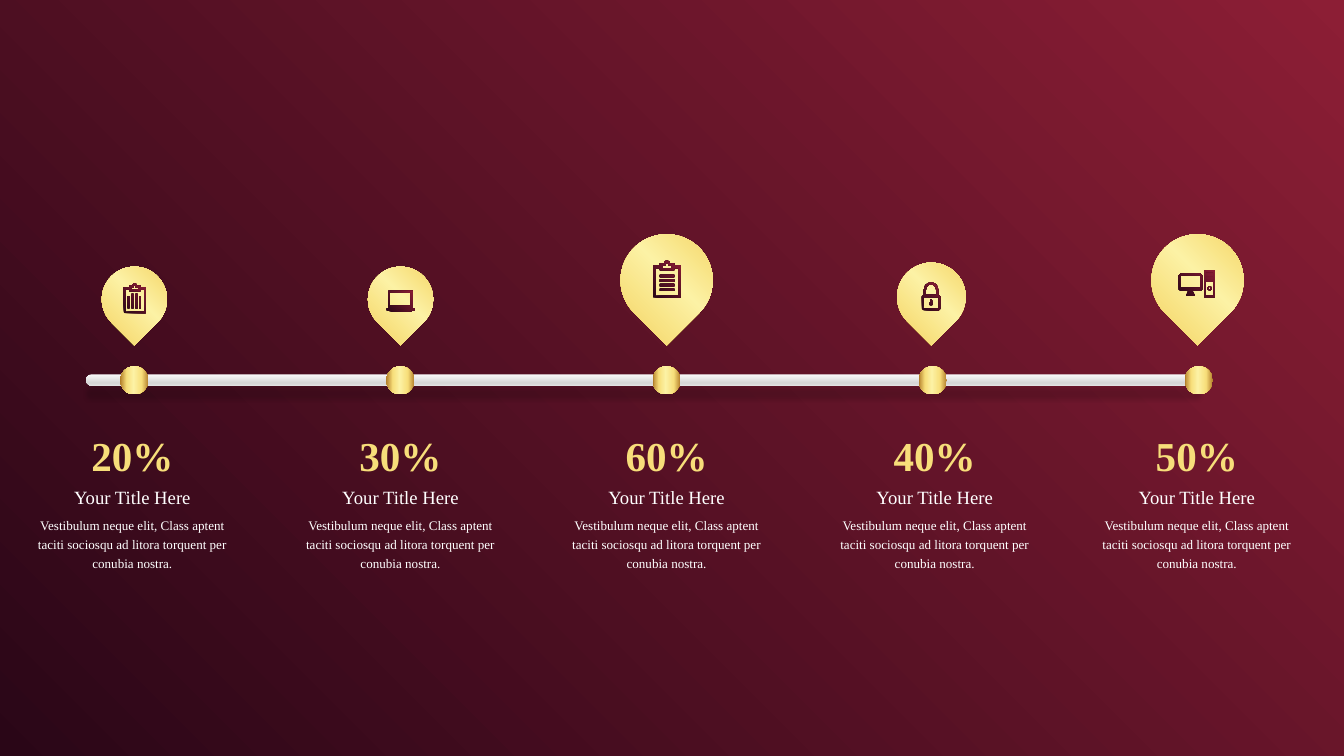
import math
from lxml import etree
from pptx import Presentation
from pptx.dml.color import RGBColor
from pptx.enum.shapes import MSO_SHAPE
from pptx.enum.text import MSO_AUTO_SIZE, PP_ALIGN
from pptx.oxml import parse_xml
from pptx.oxml.ns import nsdecls, qn
from pptx.util import Inches, Pt

ROUND, OVAL, DROP = (MSO_SHAPE.ROUNDED_RECTANGLE, MSO_SHAPE.OVAL,
                     MSO_SHAPE.TEAR)
CENTER, GROW = PP_ALIGN.CENTER, MSO_AUTO_SIZE.SHAPE_TO_FIT_TEXT
FONT = "Times New Roman"
WHITE = "FFFFFF"

# Gradients: stops, and an angle (None means circular from the top right)
GOLD = ([(0, "B37E2A"), (24, "F7DE7A"), (53, "FCF2A5"), (77, "F7DE7A"),
         (100, "B37E2A")], 180)
SILVER = ([(0, "FAFAFA"), (74, "D7D7D7"), (83, "D7D7D7"), (100, "E4E4E4")], 90)
WINE = ([(0, "8C1E35"), (100, "2A0617")], None)


def color(value):
    return RGBColor.from_string(value)


def paint(fill, element, gradient):
    """Give a fill inside the element a gradient with any number of stops."""
    stops, angle = gradient
    fill.gradient()
    old = next(element.iter(qn("a:gradFill")))
    marks = "".join(f'<a:gs pos="{pos * 1000}"><a:srgbClr val="{value}"/></a:gs>'
                    for pos, value in stops)
    if angle is None:
        shade = ('<a:path path="circle">'
                 '<a:fillToRect l="100000" b="100000"/></a:path>')
    else:
        shade = f'<a:lin ang="{angle * 60000}" scaled="0"/>'
    new = parse_xml(f'<a:gradFill {nsdecls("a")} rotWithShape="1">'
                    f'<a:gsLst>{marks}</a:gsLst>{shade}</a:gradFill>')
    old.getparent().replace(old, new)


# Outlines for icons, in hundredths of an inch
def rect(left, top, right, bottom):
    return [(left, top), (right, top), (right, bottom), (left, bottom)]


def arc(cx, cy, radius, start=0, end=360, steps=16):
    angles = [math.radians(start + (end - start) * i / steps)
              for i in range(steps + 1)]
    return [(cx + radius * math.cos(a), cy + radius * math.sin(a))
            for a in angles]


CLIPBOARD = [
    [(0, 55), (0, 7), (10, 7), (10, 4), (16, 4), *arc(20.5, 4.5, 4.5, 180, 360),
     (31, 4), (31, 7), (41, 7), (41, 55)],
    [(4, 11), (10, 11), (10, 14), (31, 14), (31, 11), (38, 11), (38, 52), (4, 52)],
    [(14, 11), (14, 7), (18.5, 7), *arc(20.5, 5.5, 2, 180, 360), (22.5, 7),
     (27, 7), (27, 11)],
]
REPORT = CLIPBOARD + [rect(x, top, x + 3, 46) for x, top in
                      [(7.5, 24), (15, 19), (22.5, 19), (29, 24)]]
LIST = CLIPBOARD + [rect(10, 21 + 6.8 * i, 31, 24.5 + 6.8 * i) for i in range(4)]
LAPTOP = [
    rect(3, 0, 39, 25), rect(5, 3, 36, 22), rect(17, 27, 26, 28),
    [(0, 26), (42, 26), (42, 29), (32, 31), (10, 31), (0, 29)],
]
LOCK = [
    [(3, 18), *arc(13.5, 10, 10.5, 180, 360), (24, 18), (27, 20), (27, 39),
     (25, 41), (3, 41), (0, 39), (0, 20)],
    [(6, 18), *arc(13.5, 10, 7.5, 180, 360), (21, 18)],
    rect(2, 21, 25, 38),
    [(12, 29), (12, 26), (13.5, 24), (15, 26), (15, 29), (16, 31), (15, 33),
     (12, 33), (11, 31)],
]
COMPUTER = [
    [(3, 5), (32, 5), (35, 8), (35, 29), (32, 31), (21, 31), (22, 35), (24, 36),
     (24, 38), (11, 38), (11, 36), (13, 35), (14, 31), (3, 31), (0, 29), (0, 8)],
    rect(3, 8, 32, 26), rect(38, 0, 54, 40), rect(40, 3, 52, 38),
    rect(41, 5, 51, 9), rect(41, 10, 51, 11), rect(41, 12, 51, 14),
    rect(41, 15, 51, 17), arc(46, 27, 3), arc(46, 27, 2),
]


class Deck:
    def __init__(self, width, height):
        self.prs = Presentation()
        self.prs.slide_width, self.prs.slide_height = Inches(width), Inches(height)

    def slide(self, gradient):
        self.s = self.prs.slides.add_slide(self.prs.slide_layouts[6])
        paint(self.s.background.fill, self.s.element, gradient)

    def finish(self, sp, gradient):
        sp.shadow.inherit = False
        sp.line.fill.background()
        paint(sp.fill, sp.element, gradient)
        return sp

    def shape(self, kind, left, top, width, height, gradient, rotation=0):
        sp = self.s.shapes.add_shape(kind, *map(Inches, (left, top, width, height)))
        sp.rotation = rotation
        return self.finish(sp, gradient)

    def drop_shadow(self, sp, alpha, blur, distance):
        effects = sp.element.spPr.find(qn("a:effectLst"))
        shadow = etree.SubElement(effects, qn("a:outerShdw"), blurRad=str(Pt(blur)),
                                  dist=str(Pt(distance)), dir="5400000",
                                  algn="t", rotWithShape="0")
        black = etree.SubElement(shadow, qn("a:srgbClr"), val="000000")
        etree.SubElement(black, qn("a:alpha"), val=str(alpha * 1000))

    def icon(self, left, top, outlines, scale=1):
        outlines = [[(Inches(x * scale / 100), Inches(y * scale / 100))
                     for x, y in outline] for outline in outlines]
        builder = self.s.shapes.build_freeform(*outlines[0][0])
        for i, outline in enumerate(outlines):
            if i:
                builder.move_to(*outline[0])
            builder.add_line_segments(outline[1:], close=True)
        self.finish(builder.convert_to_shape(Inches(left), Inches(top)), WINE)

    def text(self, center, top, width, height, words, size, spacing=1.2,
             wrap=True, bold=False, gradient=None):
        sp = self.s.shapes.add_textbox(*map(
            Inches, (center - width / 2, top, width, height)))
        tf = sp.text_frame
        tf.word_wrap, tf.auto_size = wrap, GROW
        p = tf.paragraphs[0]
        p.alignment, p.line_spacing = CENTER, spacing
        r = p.add_run()
        r.text = words
        for name, value in {"name": FONT, "size": Pt(size), "bold": bold}.items():
            setattr(r.font, name, value)
        if gradient:
            paint(r.font.fill, sp.element, gradient)
        else:
            r.font.color.rgb = color(WHITE)


# Columns: text centre, share, pin centre, pin size, icon, icon left and top, scale
COLUMNS = [
    (1.97, "20%", 2.0, 0.97, REPORT, 1.84, 4.22, 0.8),
    (5.96, "30%", 5.96, 0.97, LAPTOP, 5.75, 4.33, 1),
    (9.92, "60%", 9.92, 1.37, LIST, 9.72, 3.88, 1),
    (13.91, "40%", 13.86, 1.02, LOCK, 13.72, 4.21, 1),
    (17.81, "50%", 17.82, 1.37, COMPUTER, 17.54, 4.02, 1),
]
BODY = ("Vestibulum neque elit, Class aptent taciti sociosqu ad litora "
        "torquent per conubia nostra.")
PIN_TIP = 5.14
NODE, NODE_STEP = 0.42, 3.96

deck = Deck(20, 11.25)
deck.slide(WINE)

# Timeline bar
bar = deck.shape(ROUND, 1.28, 5.57, 16.57, 0.17, SILVER)
bar.adjustments[0] = 0.5
deck.drop_shadow(bar, 14, 4, 14)

# Node, pin, icon and texts of each column
for i, (center, share, pin_x, pin, icon, left, top, scale) in enumerate(COLUMNS):
    deck.shape(OVAL, 1.79 + NODE_STEP * i, 5.45, NODE, NODE, GOLD)
    pin_y = PIN_TIP - pin / math.sqrt(2)
    deck.shape(DROP, pin_x - pin / 2, pin_y - pin / 2, pin, pin, GOLD, 135)
    deck.icon(left, top, icon, scale)
    deck.text(center, 6.36, 1.44, 0.84, share, 44, spacing=1, wrap=False,
              bold=True, gradient=GOLD)
    deck.text(center, 7.12, 2.67, 0.47, "Your Title Here", 20)
    deck.text(center, 7.61, 3.12, 0.95, BODY, 14)

deck.prs.save("out.pptx")
